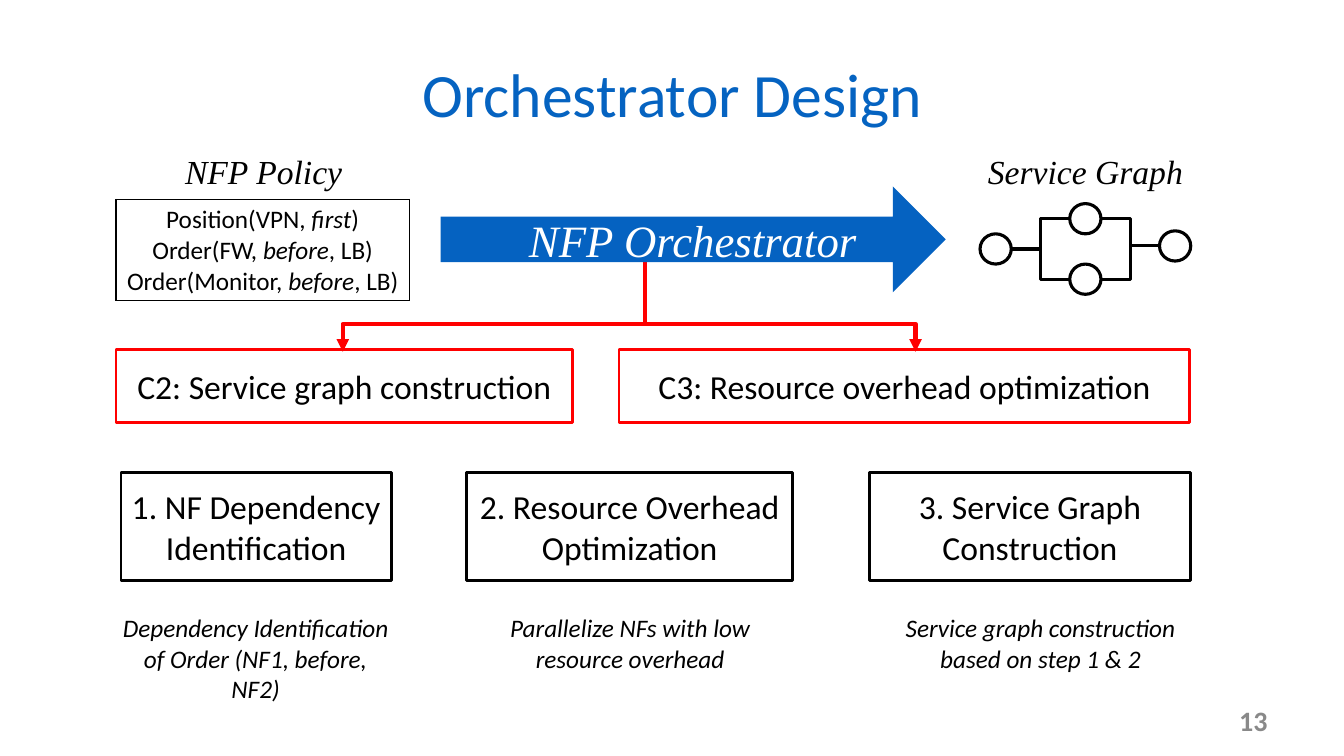
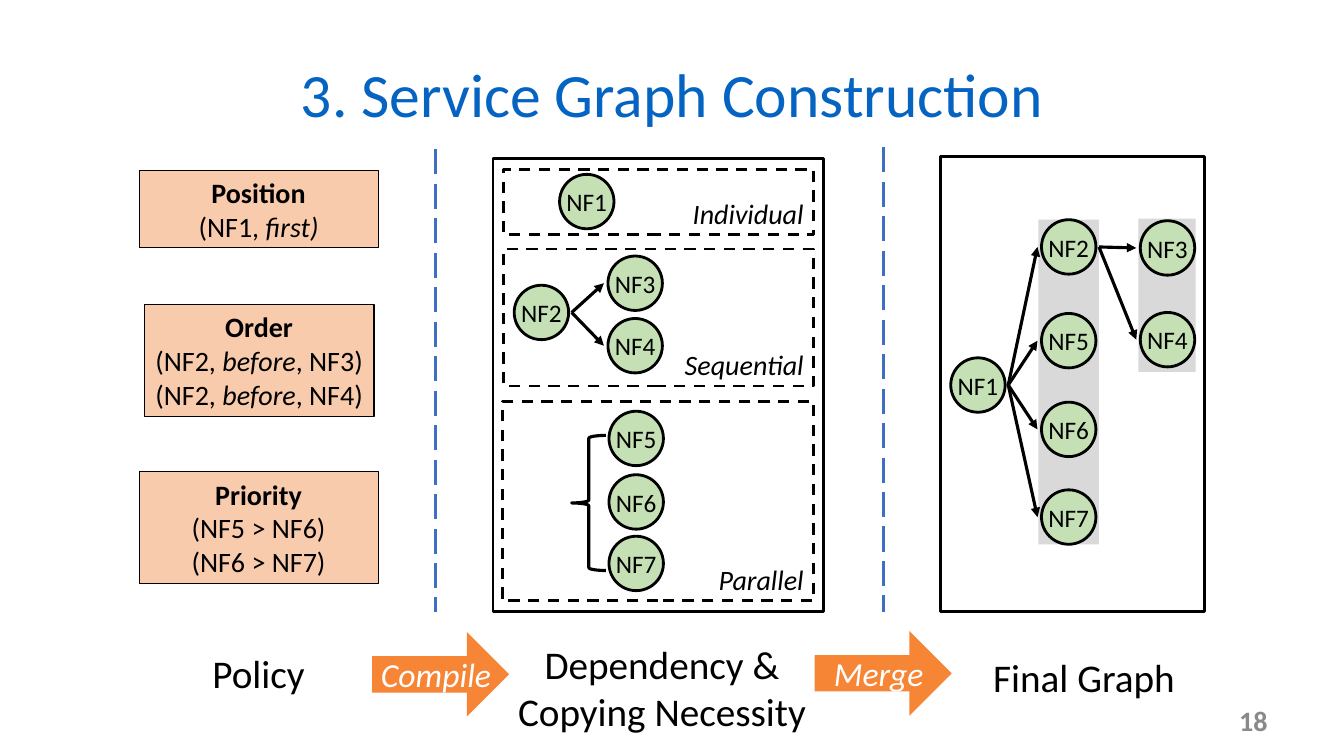
import lxml.etree
import pptx
import pptx.dml.color
import pptx.enum.dml
import pptx.enum.shapes
import pptx.enum.text
import pptx.oxml.ns
import pptx.util

PX = 9144  # EMU, 100 px to the inch
SHAPE = pptx.enum.shapes.MSO_SHAPE
LINK = pptx.enum.shapes.MSO_CONNECTOR
DASH = pptx.enum.dml.MSO_LINE
ALIGN = pptx.enum.text.PP_ALIGN
ANCHOR = pptx.enum.text.MSO_ANCHOR
qn = pptx.oxml.ns.qn

COLORS = {
    "title": "0563C1", "number": "898989", "text": "000000", "white": "FFFFFF",
    "challenge": "FF0000", "orchestrator": "0562C1", "step": "F78536",
    "node": "C5E0B4", "policy": "F8CBAD", "level": "D9D9D9", "divider": "3F6FC3",
}
SANS, SERIF = "Calibri", "Times New Roman"
TITLE_AREA = (67, 30, 1200, 125)
NUMBER_AREA = (956, 695, 311, 40)

# Orchestrator slide; text between asterisks is italic
CAPTIONS = [("NFP Policy", (173, 145, 177, 50)), ("Service Graph", (969, 145, 215, 50))]
POLICY_RULES = ["Position(VPN, *first*)", "Order(FW, *before*, LB)", "Order(Monitor, *before*, LB)"]
POLICY_AREA = (115, 198, 291, 100)
ORCHESTRATOR_AREA = (437, 185, 501, 105)
CHALLENGES = [
    ("C2: Service graph construction", 115, 453),
    ("C3: Resource overhead optimization", 614, 566),
]
FORK_START, FORK_ENDS = (640, 249), [(340, 349), (908, 349)]
STEPS = [  # name, left, width, detail, detail left, detail width
    ("1. NF Dependency Identification", 120, 268,
     "Dependency Identification of Order (NF1, before, NF2)", 108, 291),
    ("2. Resource Overhead Optimization", 463, 323,
     "Parallelize NFs with low resource overhead", 490, 270),
    ("3. Service Graph Construction", 862, 319,
     "Service graph construction based on step 1 & 2", 877, 310),
]
GRAPH_SIZE = (31, 30)
GRAPH_NODES = {"entry": (972, 232), "upper": (1061, 202), "lower": (1061, 262), "exit": (1150, 229)}
GRAPH_LINKS = [("entry", "lower"), ("upper", "exit"), ("lower", "exit"), ("entry", "upper")]

# Construction slide
POLICIES = [
    (["Position", "(NF1, *first)*"], (138, 169, 237, 77)),
    (["Order", "(NF2, *before*, NF3)", "(NF2, *before*, NF4)"], (143, 302, 228, 111)),
    (["Priority", "(NF5 > NF6)", "(NF6 > NF7)"], (138, 468, 237, 111)),
]
PANELS = [(489, 157, 328, 450), (933, 155, 262, 452)]
DIVIDERS = [(432, 148), (876, 146)]
DIVIDER_BOTTOM = 607
KINDS = [
    ("Individual", (499, 168, 308, 65)),
    ("Sequential", (499, 247, 308, 136)),
    ("Parallel", (498, 398, 309, 198)),
]
BRACE_AREA = (567, 432, 34, 134)
LEVELS = [(1129, 217, 57, 152), (1030, 218, 60, 322)]
NODE_SIZE = 54
DEPENDENCY_NODES = {
    "NF1": (555, 173), "NF2": (510, 283), "NF3": (603, 254), "NF4": (603, 316),
    "NF5": (604, 408), "NF6": (604, 471), "NF7": (604, 532),
}
FINAL_NODES = {
    "NF1": (943, 355), "NF2": (1033, 218), "NF3": (1131, 219), "NF4": (1131, 310),
    "NF5": (1033, 311), "NF6": (1033, 399), "NF7": (1033, 486),
}
SEQUENCE = [("NF2", "NF3"), ("NF2", "NF4")]
FAN_OUT = [("NF1", name) for name in ("NF2", "NF5", "NF6", "NF7")]
STAGES = [
    (["Policy"], (200, 639, 113, 57)),
    (["Dependency &", "Copying Necessity"], (502, 630, 309, 104)),
    (["Final Graph"], (974, 643, 202, 57)),
]
STAGE_ARROWS = [("Compile", (369, 627, 136, 84)), ("Merge", (808, 626, 136, 84))]


def emu(lengths):
    return [round(length * PX) for length in lengths]


def rgb(name):
    return pptx.dml.color.RGBColor.from_string(COLORS[name])


def write(frame, lines, size, color="text", font=SANS, align=ALIGN.CENTER,
          italic=False, bold=False, bold_head=False):
    """Fill a text frame; asterisks in a line switch italics on and off."""
    for row, line in enumerate(lines):
        para = frame.paragraphs[0] if row == 0 else frame.add_paragraph()
        para.alignment = align
        for part, words in enumerate(line.split("*")):
            if not words:
                continue
            span = para.add_run()
            span.text = words
            span.font.color.rgb = rgb(color)
            formats = {
                "name": font, "size": pptx.util.Pt(size),
                "italic": italic or part % 2 == 1,
                "bold": bold or (bold_head and row == 0),
            }
            for key, value in formats.items():
                setattr(span.font, key, value)


def set_frame(frame, anchor, wrap, **margins):
    formats = {"vertical_anchor": anchor, "word_wrap": wrap}
    formats.update({f"margin_{side}": value * PX for side, value in margins.items()})
    for key, value in formats.items():
        setattr(frame, key, value)


def add_text(page, lines, area, size, anchor=ANCHOR.TOP, wrap=False, **style):
    box = page.shapes.add_textbox(*emu(area))
    set_frame(box.text_frame, anchor, wrap)
    write(box.text_frame, lines, size, **style)


def set_line(line, color, width, dash=None):
    line.color.rgb = rgb(color)
    line.width = pptx.util.Pt(width)
    if dash:
        line.dash_style = dash


def add_shape(page, kind, area, fill=None, line=None, width=2, dash=None):
    shape = page.shapes.add_shape(kind, *emu(area))
    shape.shadow.inherit = False
    if fill:
        shape.fill.solid()
        shape.fill.fore_color.rgb = rgb(fill)
    else:
        shape.fill.background()
    if line:
        set_line(shape.line, line, width, dash)
    else:
        shape.line.fill.background()
    return shape


def add_box(page, lines, area, size, fill="white", line="text", width=2, dash=None,
            anchor=ANCHOR.MIDDLE, wrap=True, **style):
    box = add_shape(page, SHAPE.RECTANGLE, area, fill, line, width, dash)
    set_frame(box.text_frame, anchor, wrap)
    write(box.text_frame, lines, size, **style)


def add_block_arrow(page, label, area, fill, size, inset, font=SANS):
    arrow = add_shape(page, SHAPE.RIGHT_ARROW, area, fill)
    arrow.adjustments[0] = 0.43
    set_frame(arrow.text_frame, ANCHOR.MIDDLE, False, left=inset, right=0, top=0, bottom=0)
    write(arrow.text_frame, [label], size, "white", font, italic=True)


def add_line(page, start, end, color="text", width=2.25, kind=LINK.STRAIGHT,
             dash=None, head=False):
    line = page.shapes.add_connector(kind, *emu((*start, *end)))
    set_line(line.line, color, width, dash)
    outline = line._element.spPr
    if head:
        lxml.etree.SubElement(outline.find(qn("a:ln")), qn("a:tailEnd"), type="triangle")
    lxml.etree.SubElement(outline, qn("a:effectLst"))
    return line


def add_fork(page, start, end):
    """Draw an elbow arrow that leaves downwards, as a turned connector."""
    middle_x, middle_y = (start[0] + end[0]) / 2, (start[1] + end[1]) / 2
    half_drop, half_run = (end[1] - start[1]) / 2, abs(end[0] - start[0]) / 2
    side, turn = (1, 90) if end[0] < start[0] else (-1, 270)
    line = add_line(page, (middle_x - side * half_drop, middle_y - half_run),
                    (middle_x + side * half_drop, middle_y + half_run),
                    "challenge", 3, LINK.ELBOW, head=True)
    outline = line._element.spPr
    outline.find(qn("a:xfrm")).set("rot", str(turn * 60000))
    guides = outline.find(qn("a:prstGeom")).find(qn("a:avLst"))
    lxml.etree.SubElement(guides, qn("a:gd"), name="adj1", fmla="val 72400")


def add_rule_table(page):
    table = page.shapes.add_table(1, 1, *emu(POLICY_AREA)).table
    table.first_row = table.horz_banding = False
    cell = table.cell(0, 0)
    cell.vertical_anchor = ANCHOR.MIDDLE
    cell.margin_left = cell.margin_right = 5 * PX
    write(cell.text_frame, POLICY_RULES, 18)
    properties = cell._tc.get_or_add_tcPr()
    for side in ("a:lnL", "a:lnR", "a:lnT", "a:lnB"):
        border = lxml.etree.SubElement(properties, qn(side), w="12700")
        paint = lxml.etree.SubElement(border, qn("a:solidFill"))
        lxml.etree.SubElement(paint, qn("a:srgbClr"), val=COLORS["text"])
    cell.fill.solid()
    cell.fill.fore_color.rgb = rgb("white")


def add_nodes(page, nodes, links):
    for name, corner in nodes.items():
        node = add_shape(page, SHAPE.OVAL, (*corner, NODE_SIZE, NODE_SIZE), "node", "text")
        set_frame(node.text_frame, ANCHOR.MIDDLE, False, left=0, right=0, top=0, bottom=0)
        write(node.text_frame, [name], 18)
    for source, target in links:
        (left, top), (target_left, target_top) = nodes[source], nodes[target]
        add_line(page, (left + NODE_SIZE + 3, top + NODE_SIZE / 2),
                 (target_left - 4, target_top + NODE_SIZE / 2), head=True)


def add_page(deck, title, number):
    page = deck.slides.add_slide(deck.slide_layouts[5])
    heading = page.shapes.title
    for key, value in zip(("left", "top", "width", "height"), emu(TITLE_AREA)):
        setattr(heading, key, value)
    set_frame(heading.text_frame, ANCHOR.MIDDLE, True)
    write(heading.text_frame, [title], 44, "title")
    add_text(page, [number], NUMBER_AREA, 20, ANCHOR.MIDDLE, True,
             color="number", align=ALIGN.RIGHT, bold=True)
    return page


def build_orchestrator(deck):
    page = add_page(deck, "Orchestrator Design", "13")
    for caption, area in CAPTIONS:
        add_text(page, [caption], area, 24, font=SERIF, italic=True)
    add_rule_table(page)
    width, height = GRAPH_SIZE
    for corner in GRAPH_NODES.values():
        add_shape(page, SHAPE.OVAL, (*corner, *GRAPH_SIZE), "white", "text", 2.25)
    for source, target in GRAPH_LINKS:
        (left, top), (target_left, target_top) = GRAPH_NODES[source], GRAPH_NODES[target]
        add_line(page, (left + width, top + height / 2),
                 (target_left, target_top + height / 2), kind=LINK.ELBOW)
    for name, left, width, detail, detail_left, detail_width in STEPS:
        add_box(page, [name], (left, 469, width, 107), 24)
        add_text(page, [detail], (detail_left, 603, detail_width, 71), 18, wrap=True, italic=True)
    for name, left, width in CHALLENGES:
        add_box(page, [name], (left, 347, width, 72), 24, line="challenge")
    for end in FORK_ENDS:
        add_fork(page, FORK_START, end)
    add_block_arrow(page, "NFP Orchestrator", ORCHESTRATOR_AREA, "orchestrator", 32, 22, SERIF)


def build_construction(deck):
    page = add_page(deck, "3. Service Graph Construction", "18")
    for lines, area in POLICIES:
        add_box(page, lines, area, 20, "policy", width=0.75, wrap=False, bold_head=True)
    for area in PANELS:
        add_shape(page, SHAPE.RECTANGLE, area, line="text")
    for left, top in DIVIDERS:
        add_line(page, (left, top), (left, DIVIDER_BOTTOM), "divider", dash=DASH.LONG_DASH)
    for name, area in KINDS:
        add_box(page, [name], area, 20, None, dash=DASH.DASH, anchor=ANCHOR.BOTTOM,
                align=ALIGN.RIGHT, italic=True)
    add_shape(page, SHAPE.LEFT_BRACE, BRACE_AREA, line="text", width=2.25)
    for area in LEVELS:
        add_shape(page, SHAPE.RECTANGLE, area, "level")
    add_nodes(page, DEPENDENCY_NODES, SEQUENCE)
    add_nodes(page, FINAL_NODES, FAN_OUT + SEQUENCE)
    for lines, area in STAGES:
        add_text(page, lines, area, 28)
    for label, area in STAGE_ARROWS:
        add_block_arrow(page, label, area, "step", 24, 9)


def main():
    deck = pptx.Presentation()
    deck.slide_width, deck.slide_height = emu((1333, 750))
    build_orchestrator(deck)
    build_construction(deck)
    deck.save("out.pptx")


if __name__ == "__main__":
    main()
